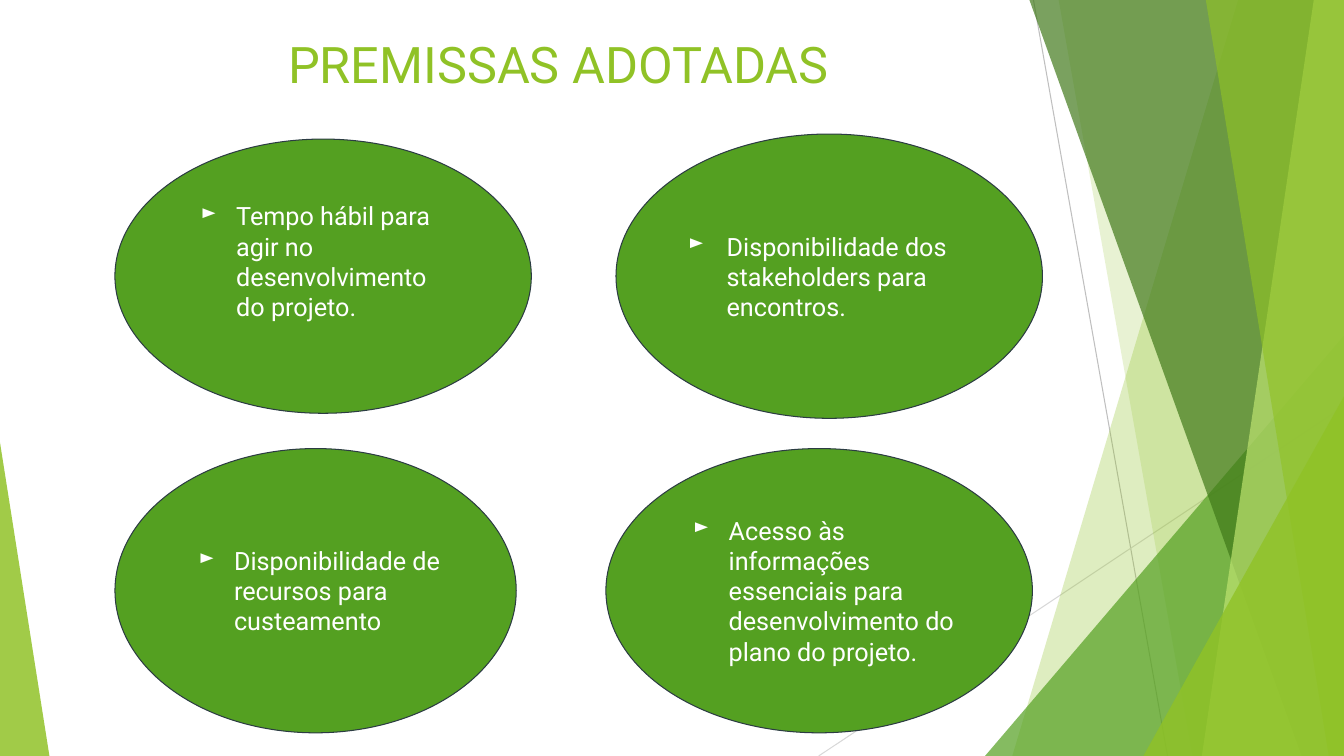
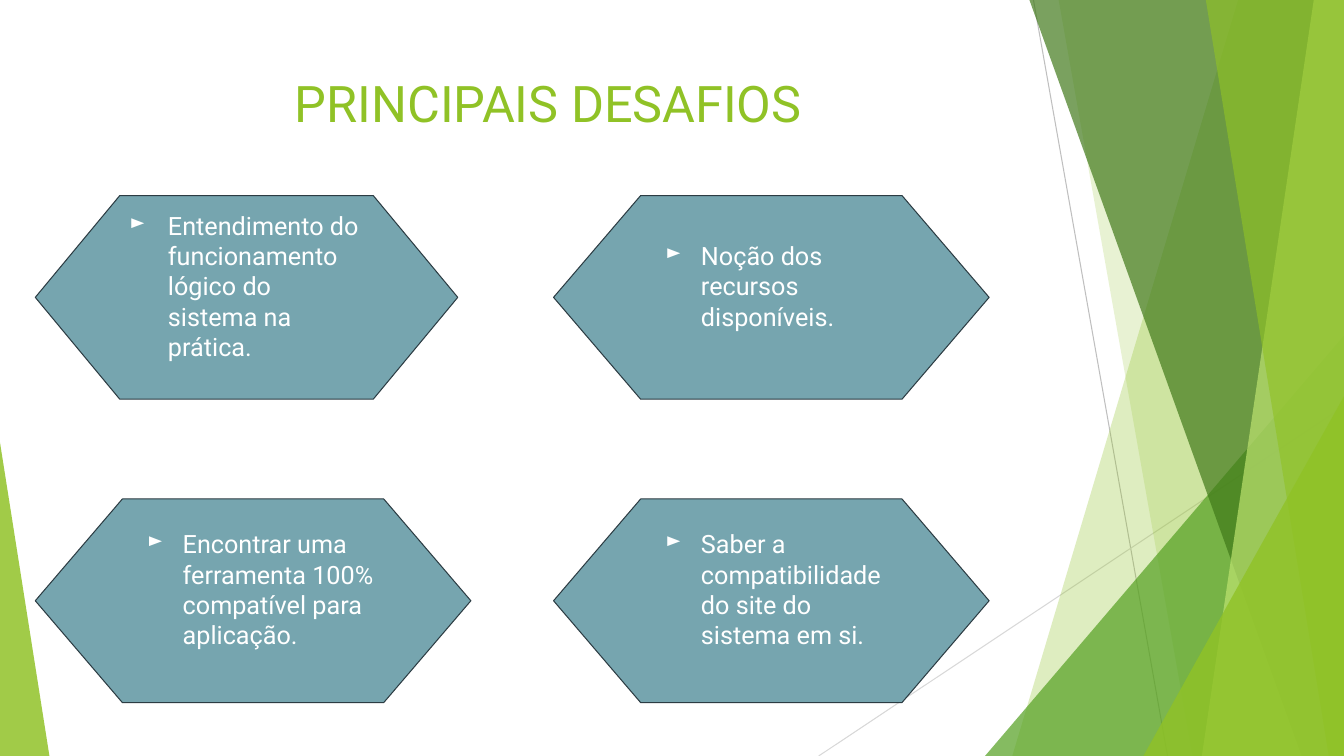
from lxml import etree
from pptx import Presentation
from pptx import util as u
from pptx.dml.color import RGBColor
from pptx.enum import shapes, text
from pptx.oxml import ns

WIDTH, HEIGHT = 13.33, 7.5
OVAL = shapes.MSO_SHAPE.OVAL
HEXAGON = shapes.MSO_SHAPE.FLOWCHART_PREPARATION


def rgb(value):
    return RGBColor.from_string(value)


def add_xml(parent, tag, **attrs):
    return etree.SubElement(parent, ns.qn(tag), attrs)


class Deck:
    FONT = "Roboto"
    LIME, GREEN, FOREST, PALE = "90C226", "54A021", "3F7818", "BFE471"
    TEAL, OUTLINE, WHITE = "76A5AF", "2C3C43", "FFFFFF"

    def __init__(self):
        self.prs = Presentation()
        self.prs.slide_width = u.Inches(WIDTH)
        self.prs.slide_height = u.Inches(HEIGHT)
        self.layout = self.prs.slide_layouts[5]
        self.slide = None

    def new_slide(self, title, left, top):
        self.slide = self.prs.slides.add_slide(self.layout)
        if len(self.prs.slides) == 1:
            self.background()
        sp = self.slide.shapes.title
        sp.left, sp.top = u.Inches(left), u.Inches(top)
        sp.width, sp.height = u.Inches(9.4), u.Inches(1.44)
        tf = sp.text_frame
        tf.auto_size = text.MSO_AUTO_SIZE.NONE
        tf.vertical_anchor = text.MSO_ANCHOR.TOP
        tf.text = title
        self.style(tf.paragraphs[0], 36, self.LIME, text.PP_ALIGN.CENTER)

    def style(self, p, size, color, align):
        p.alignment = align
        p.font.name = self.FONT
        p.font.size = u.Pt(size)
        p.font.color.rgb = rgb(color)

    def paint(self, sp, color, opacity=None):
        sp.shadow.inherit = False
        sp.fill.solid()
        sp.fill.fore_color.rgb = rgb(color)
        if opacity is not None:
            fill = sp.element.spPr.find(ns.qn("a:solidFill"))
            add_xml(fill[0], "a:alpha", val=str(opacity * 1000))
            sp.line.fill.background()

    def line(self, x1, y1, x2, y2, color):
        line = self.slide.shapes.add_connector(
            shapes.MSO_CONNECTOR.STRAIGHT,
            u.Inches(x1), u.Inches(y1), u.Inches(x2), u.Inches(y2))
        line.line.color.rgb = rgb(color)
        line.line.width = u.Pt(0.75)
        add_xml(line.element.spPr, "a:effectLst")
        return line

    def band(self, top_x, bottom_x, color, opacity):
        corners = [(WIDTH, 0), (WIDTH, HEIGHT), (bottom_x, HEIGHT)]
        outline = self.slide.shapes.build_freeform(u.Inches(top_x), 0)
        outline.add_line_segments(
            [(u.Inches(x), u.Inches(y)) for x, y in corners], close=True)
        sp = outline.convert_to_shape()
        self.paint(sp, color, opacity)
        return sp

    def triangle(self, left, top, width, apex, color, opacity):
        sp = self.slide.shapes.add_shape(
            shapes.MSO_SHAPE.ISOSCELES_TRIANGLE, u.Inches(left),
            u.Inches(top), u.Inches(width), u.Inches(HEIGHT - top))
        sp.adjustments[0] = apex
        self.paint(sp, color, opacity)
        return sp

    def background(self):
        parts = [
            self.line(10.25, 0, 11.58, HEIGHT, "BFBFBF"),
            self.line(WIDTH, 4.03, 8.12, HEIGHT, "D8D8D8"),
            self.band(12.28, 10.04, self.LIME, 29),
            self.band(10.5, 11.83, self.LIME, 20),
            self.triangle(9.77, 3.33, 3.56, 1, self.GREEN, 71),
            self.band(10.21, 12.91, self.FOREST, 69),
            self.band(13.03, 11.92, self.PALE, 69),
            self.band(11.96, 13.18, self.LIME, 64),
            self.triangle(11.34, 3.93, 1.99, 1, self.LIME, 80),
            self.triangle(0, 4.39, 0.49, 0, self.LIME, 84),
        ]
        for number, part in enumerate(parts, 100):
            part.element.xpath(".//p:cNvPr")[0].set("id", str(number))
            self.layout.shapes.element.append(part.element)

    def card(self, kind, color, box, words, margin=0.5, hang=0.35, bottom=0.1):
        sp = self.slide.shapes.add_shape(kind, *map(u.Inches, box))
        self.paint(sp, color)
        sp.line.color.rgb = rgb(self.OUTLINE)
        sp.line.width = u.Pt(0.75)
        tf = sp.text_frame
        tf.word_wrap = True
        tf.vertical_anchor = text.MSO_ANCHOR.MIDDLE
        tf.margin_left = tf.margin_right = tf.margin_top = u.Inches(0.1)
        tf.margin_bottom = u.Inches(bottom)
        p = tf.paragraphs[0]
        p.text = words
        self.bullet(p, margin, hang)
        self.style(p, 18, self.WHITE, text.PP_ALIGN.LEFT)

    def bullet(self, p, margin, hang):
        props = p._p.get_or_add_pPr()
        props.set("marL", str(u.Inches(margin)))
        props.set("indent", str(-u.Inches(hang)))
        add_xml(add_xml(props, "a:buClr"), "a:srgbClr", val=self.WHITE)
        add_xml(props, "a:buSzPct", val="80000")
        add_xml(props, "a:buChar", char="►")


def main():
    deck = Deck()
    wide = {"margin": 0.38, "hang": 0.38}

    deck.new_slide("PREMISSAS ADOTADAS", 0.84, 0.28)
    for box, words, options in [
        ((6.11, 1.33, 4.23, 2.82),
         "Disponibilidade dos stakeholders para encontros.", wide),
        ((6.01, 4.45, 4.23, 2.82),
         "Acesso às informações essenciais para desenvolvimento do plano do projeto.", {}),
        ((1.14, 1.38, 4.13, 2.72),
         "Tempo hábil para agir no desenvolvimento do projeto.", {"bottom": 0.4}),
        ((1.14, 4.45, 3.98, 2.82),
         "Disponibilidade de recursos para custeamento", {}),
    ]:
        deck.card(OVAL, deck.GREEN, box, words, **options)

    deck.new_slide("PRINCIPAIS DESAFIOS", 0.74, 0.67)
    left, right = 0.35, 5.49
    upper, lower = 1.94, 4.95
    for x, y, width, words, options in [
        (left, upper, 4.19,
         "Entendimento do funcionamento lógico do sistema na prática.", wide),
        (right, lower, 4.32, "Saber a compatibilidade do site do sistema em si.", {}),
        (right, upper, 4.32, "Noção dos recursos disponíveis.", {}),
        (left, lower, 4.32,
         "Encontrar uma ferramenta 100% compatível para aplicação.", {}),
    ]:
        deck.card(HEXAGON, deck.TEAL, (x, y, width, 2.02), words,
                  bottom=0.33, **options)

    deck.prs.save("out.pptx")


if __name__ == "__main__":
    main()
